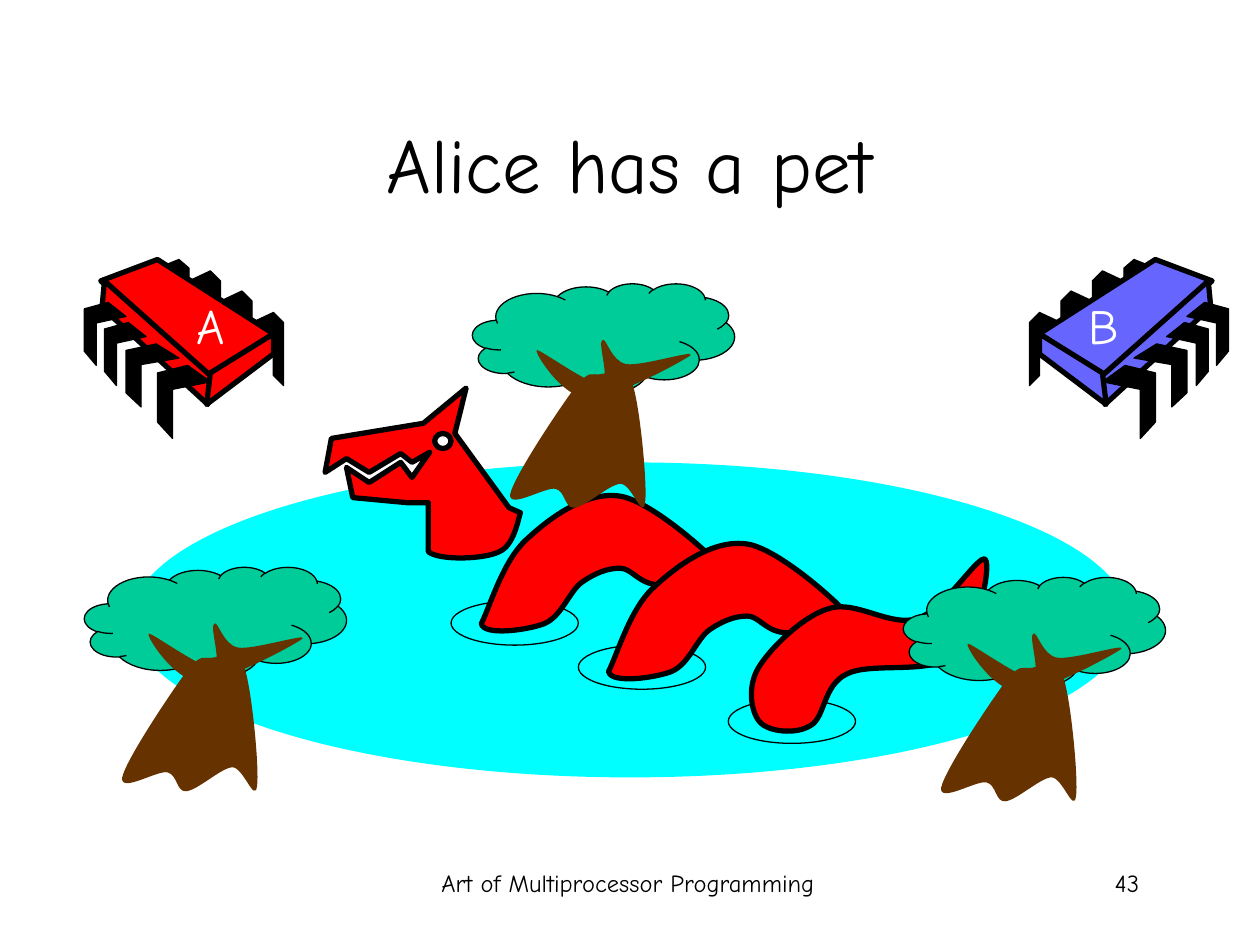
from lxml.etree import SubElement
from pptx import Presentation
from pptx.dml.color import RGBColor
from pptx.enum.shapes import MSO_SHAPE
from pptx.enum.text import MSO_ANCHOR, PP_ALIGN
from pptx.oxml.ns import qn
from pptx.util import Inches, Pt

COLORS = {
    "black": "000000", "white": "FFFFFF", "red": "FF0000", "blue": "6666FF",
    "water": "00FFFF", "leaf": "00CC99", "wood": "663300",
}
FONT = "Comic Neue"

# Outlines in inches: two numbers are a corner, six are a Bezier curve.
BACK_LEG_SIZE = (0.25, 0.58)
BACK_LEG = [(0, 0.08), (0.17, 0), (0.25, 0.08), (0.25, 0.58), (0.17, 0.5), (0.17, 0.17), (0, 0.25)]
BACK_LEG_BOXES = [(1.33, 0.42, 0.25, 0.58), (1.08, 0.25, 0.25, 0.58),
                  (0.83, 0.09, 0.25, 0.58), (0.58, 0, 0.25, 0.5)]
FRONT_LEG_SIZE = (0.42, 0.58)
FRONT_LEG = [(0.24, 0), (0.42, 0.13), (0.12, 0.19), (0.12, 0.58), (0, 0.45), (0, 0.06)]
FRONT_LEG_BOXES = [(0.58, 0.84, 0.42, 0.58), (0.33, 0.67, 0.42, 0.5),
                   (0.16, 0.5, 0.33, 0.5), (0, 0.34, 0.33, 0.5)]
CHIP_FACES = [
    [(0.58, 0), (1.5, 0.59), (0.98, 0.93), (0.13, 0.17)],
    [(0.16, 0.17), (1, 0.92), (0.98, 1.15), (0.14, 0.38)],
    [(1.5, 0.59), (1.5, 0.75), (0.97, 1.15), (1, 0.9)],
]
CHIP_WIDTH = 1.58

HUMP = [
    (0, 1.06), (0.02, 1.16, 0.37, 1.11, 0.5, 1.06), (0.64, 1, 0.7, 0.8, 0.8, 0.73),
    (0.9, 0.66, 1, 0.62, 1.1, 0.62), (1.19, 0.62, 1.24, 0.73, 1.38, 0.75),
    (1.53, 0.76, 2.02, 0.83, 1.98, 0.71), (1.93, 0.6, 1.38, 0.1, 1.11, 0.05),
    (0.83, 0, 0.53, 0.23, 0.35, 0.4), (0.17, 0.57, 0.07, 0.92, 0, 1.06),
]
HEAD = [
    (1.46, 0.95), (1.03, 0.36), (1.12, 0), (0.78, 0.28), (0.05, 0.4), (0, 0.67),
    (0.17, 0.56), (0.35, 0.67), (0.6, 0.52), (0.69, 0.59), (0.83, 0.51), (0.69, 0.71),
    (0.6, 0.59), (0.35, 0.75), (0.17, 0.63), (0.22, 0.87), (0.65, 0.91), (0.82, 0.91),
    (0.82, 1.3), (0.91, 1.37, 1.26, 1.36, 1.38, 1.3), (1.5, 1.25, 1.53, 1.05, 1.55, 0.99),
]
TAIL = [
    (1.89, 0.05), (1.84, 0, 1.56, 0.46, 1.35, 0.52), (1.14, 0.59, 0.86, 0.37, 0.65, 0.44),
    (0.44, 0.5, 0.18, 0.76, 0.09, 0.91), (0, 1.06, 0.03, 1.26, 0.1, 1.34),
    (0.17, 1.42, 0.39, 1.44, 0.5, 1.37), (0.62, 1.31, 0.6, 1.05, 0.79, 0.96),
    (0.98, 0.86, 1.46, 0.97, 1.64, 0.81), (1.83, 0.66, 1.94, 0.1, 1.89, 0.05),
]
TRUNK = [
    (0.53, 0.2), (0.65, 0.05, 0.66, 0.1, 0.74, 0.09), (0.81, 0.08, 0.93, 0, 0.99, 0.17),
    (1.05, 0.34, 1.11, 0.98, 1.09, 1.11), (1.07, 1.25, 0.98, 0.95, 0.89, 0.96),
    (0.8, 0.97, 0.62, 1.14, 0.53, 1.15), (0.45, 1.16, 0.46, 1.02, 0.38, 1),
    (0.3, 0.98, 0, 1.17, 0.02, 1.04), (0.05, 0.9, 0.41, 0.36, 0.53, 0.2),
]
BRANCHES = [
    (0.02, 0.11), (0, 0.13, 0.22, 0.48, 0.42, 0.49), (0.63, 0.5, 1.19, 0.19, 1.24, 0.15),
    (1.29, 0.1, 0.85, 0.24, 0.73, 0.22), (0.61, 0.2, 0.57, 0, 0.54, 0.03),
    (0.5, 0.05, 0.61, 0.36, 0.53, 0.38), (0.44, 0.39, 0.03, 0.09, 0.02, 0.11),
]


def color(name):
    return RGBColor.from_string(COLORS[name])


def paint(shape, fill=None, line_width=None):
    shape.shadow.inherit = False
    if fill:
        shape.fill.solid()
        shape.fill.fore_color.rgb = color(fill)
    else:
        shape.fill.background()
    if line_width:
        shape.line.color.rgb = color("black")
        shape.line.width = Pt(line_width)
    else:
        shape.line.fill.background()


def add_preset(shapes, preset, left, top, width, height, fill=None, line_width=None):
    shape = shapes.add_shape(preset, Inches(left), Inches(top), Inches(width), Inches(height))
    paint(shape, fill, line_width)
    return shape


def add_outline(shapes, outline, left, top, fill, line_width=None):
    """Draw a closed outline; each curve starts as three lines, merged into one Bezier."""
    points = [(Inches(left + x), Inches(top + y))
              for segment in outline for x, y in zip(segment[::2], segment[1::2])]
    builder = shapes.build_freeform(*points[0], scale=1.0)
    builder.add_line_segments(points[1:], close=True)
    shape = builder.convert_to_shape()
    lines = iter(list(shape._element.iter(qn("a:lnTo"))))
    for segment in outline[1:]:
        line = next(lines)
        if len(segment) == 6:
            line.addprevious(curve := SubElement(line.getparent(), qn("a:cubicBezTo")))
            for part in (line, next(lines), next(lines)):
                curve.append(part[0])
                part.getparent().remove(part)
    paint(shape, fill, line_width)


def add_text(shapes, text, left, top, width, height, size, name, align, wrap=True):
    box = shapes.add_textbox(Inches(left), Inches(top), Inches(width), Inches(height))
    box.text_frame.word_wrap = wrap
    write(box.text_frame, text, size, name, align)


def write(frame, text, size, name, align):
    frame.text = text
    paragraph = frame.paragraphs[0]
    paragraph.alignment = align
    paragraph.font.size = Pt(size)
    paragraph.font.name = FONT
    paragraph.font.color.rgb = color(name)


def add_title(slide, text, left, top, width, height):
    title = slide.shapes.title
    title.left, title.top = Inches(left), Inches(top)
    title.width, title.height = Inches(width), Inches(height)
    title.text_frame.vertical_anchor = MSO_ANCHOR.MIDDLE
    write(title.text_frame, text, 44, "black", PP_ALIGN.CENTER)


def add_chip(slide, left, top, fill, mirrored=False):
    shapes = slide.shapes.add_group_shape().shapes

    def add_part(outline, name, line_width):
        if mirrored:
            outline = [(CHIP_WIDTH - x, y) for x, y in outline]
        add_outline(shapes, outline, left, top, name, line_width)

    def add_legs(leg, size, boxes):
        for x, y, width, height in boxes:
            scaled = [(x + px * width / size[0], y + py * height / size[1]) for px, py in leg]
            add_part(scaled, "black", 0.75)

    add_legs(BACK_LEG, BACK_LEG_SIZE, BACK_LEG_BOXES)
    for face in CHIP_FACES:
        add_part(face, fill, 3)
    add_legs(FRONT_LEG, FRONT_LEG_SIZE, FRONT_LEG_BOXES)


def add_dragon(slide, left, top):
    shapes = slide.shapes.add_group_shape().shapes
    for x, y in [(2.01, 2.04), (3.2, 2.47), (1, 1.69)]:
        add_preset(shapes, MSO_SHAPE.OVAL, left + x, top + y, 1.01, 0.35, line_width=0.75)
    for outline, x, y in [(HUMP, 1.24, 0.81), (HUMP, 2.25, 1.19), (HEAD, 0, 0)]:
        add_outline(shapes, outline, left + x, top + y, "red", 3)
    add_preset(shapes, MSO_SHAPE.OVAL, left + 0.87, top + 0.36, 0.13, 0.12, "white", 3)
    add_outline(shapes, TAIL, left + 3.35, top + 1.31, "red", 3)


def add_tree(slide, left, top):
    shapes = slide.shapes.add_group_shape().shapes
    crown = add_preset(shapes, MSO_SHAPE.CLOUD_CALLOUT, left, top, 2.08, 0.87, "leaf", 0.75)
    crown.adjustments[0], crown.adjustments[1] = 0.018, 0.493
    add_outline(shapes, TRUNK, left + 0.28, top + 0.63, "wood")
    add_outline(shapes, BRANCHES, left + 0.49, top + 0.42, "wood")


def main():
    presentation = Presentation()
    presentation.slide_width, presentation.slide_height = Inches(10), Inches(7.5)
    slide = presentation.slides.add_slide(presentation.slide_layouts[5])
    shapes = slide.shapes

    add_text(shapes, "Art of Multiprocessor Programming", 3.4, 6.84, 3.17, 0.5, 14, "black", PP_ALIGN.CENTER)
    add_text(shapes, "43", 7.06, 6.84, 2.08, 0.5, 14, "black", PP_ALIGN.RIGHT)
    add_title(slide, "Alice has a pet", 0.75, 0.67, 8.5, 1.25)
    add_chip(slide, 0.67, 2.06, "red")
    add_chip(slide, 8.17, 2.06, "blue", mirrored=True)
    add_preset(shapes, MSO_SHAPE.OVAL, 1.04, 3.67, 7.92, 2.5, "water")
    for label, left, width in [("A", 1.46, 0.42), ("B", 8.54, 0.44)]:
        add_text(shapes, label, left, 2.3, width, 0.57, 28, "white", PP_ALIGN.RIGHT, wrap=False)
    add_dragon(slide, 2.58, 3.08)
    for left, top in [(3.75, 2.25), (7.17, 4.58), (0.67, 4.5)]:
        add_tree(slide, left, top)
    presentation.save("out.pptx")


if __name__ == "__main__":
    main()
